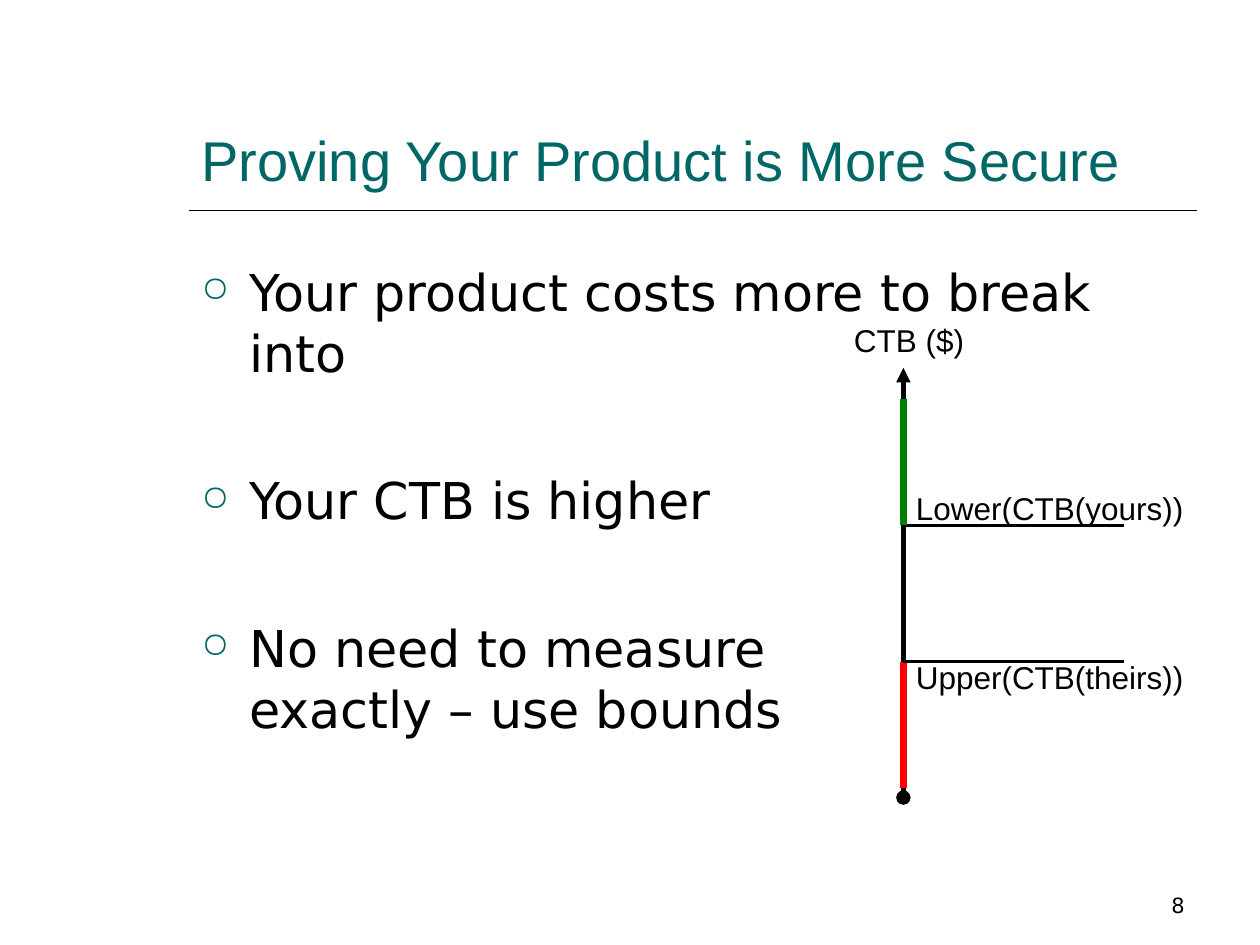
"""Build the slide comparing bounds on the cost to break two products."""
from dataclasses import dataclass

from lxml.etree import SubElement
from pptx import Presentation
from pptx.dml.color import RGBColor
from pptx.enum.shapes import MSO_CONNECTOR
from pptx.enum.text import MSO_ANCHOR, PP_ALIGN
from pptx.oxml.ns import qn
from pptx.util import Inches, Pt


@dataclass(frozen=True)
class Theme:
    heading_font: str = "Arial"
    body_font: str = "DejaVu Sans"
    teal: str = "006666"
    black: str = "000000"
    green: str = "008000"
    red: str = "FF0000"
    title_size: int = 32
    body_size: int = 29
    label_size: int = 18
    number_size: int = 12
    body_leading: float = 34.9
    bullet_gap: float = 49.3


THEME = Theme()
TITLE = "Proving Your Product is More Secure"
BULLETS = [
    "Your product costs more to break into",
    "Your CTB is higher",
    "No need to measure\vexactly – use bounds",
]
SLIDE_NUMBER = "8"

LEFT, WIDTH = 1.5, 8
RIGHT = LEFT + WIDTH
RULE_Y = 1.67
AXIS_X, AXIS_TOP, AXIS_BOTTOM = 7.17, 2.92, 6.33
LOWER_Y, UPPER_Y = 4.17, 5.25
BOUND_WIDTH, RANGE_HEIGHT = 1.75, 1

LINES = [
    ((LEFT, RULE_Y), (RIGHT, RULE_Y), THEME.black, 1, {}),
    ((AXIS_X, AXIS_TOP), (AXIS_X, AXIS_BOTTOM), THEME.black, 2.75,
     {"headEnd": "triangle", "tailEnd": "oval"}),
    ((AXIS_X, LOWER_Y), (AXIS_X + BOUND_WIDTH, LOWER_Y), THEME.black, 1.5, {}),
    ((AXIS_X, LOWER_Y), (AXIS_X, LOWER_Y - RANGE_HEIGHT), THEME.green, 4, {}),
    ((AXIS_X, UPPER_Y + RANGE_HEIGHT), (AXIS_X, UPPER_Y), THEME.red, 4, {}),
    ((AXIS_X, UPPER_Y), (AXIS_X + BOUND_WIDTH, UPPER_Y), THEME.black, 1.5, {}),
]
LABELS = [
    ("Upper(CTB(theirs))", (AXIS_X, 5.17, 2.35, 0.4), PP_ALIGN.LEFT),
    ("Lower(CTB(yours))", (AXIS_X, 3.83, 2.35, 0.4), PP_ALIGN.LEFT),
    ("CTB ($)", (6.58, 2.5, 1.27, 0.4), PP_ALIGN.CENTER),
]


def add_bullet(paragraph):
    """Give a paragraph a hanging teal circle."""
    properties = paragraph._p.get_or_add_pPr()
    properties.set("marL", str(Inches(0.38)))
    properties.set("indent", str(-Inches(0.38)))
    color = SubElement(properties, qn("a:buClr"))
    SubElement(color, qn("a:srgbClr"), val=THEME.teal)
    SubElement(properties, qn("a:buSzPct"), val="70000")
    SubElement(properties, qn("a:buChar"), char="○")


def add_text(slide, paragraphs, place, *, size, font=THEME.heading_font, color=THEME.black,
             align=PP_ALIGN.LEFT, anchor=MSO_ANCHOR.TOP, bullets=False, leading=None, gap=0):
    """Add a text box holding one paragraph per string."""
    frame = slide.shapes.add_textbox(*map(Inches, place)).text_frame
    frame.word_wrap = True
    frame.vertical_anchor = anchor
    for index, text in enumerate(paragraphs):
        paragraph = frame.add_paragraph() if index else frame.paragraphs[0]
        paragraph.text = text
        paragraph.alignment = align
        if leading:
            paragraph.line_spacing = Pt(leading)
        if index and gap:
            paragraph.space_before = Pt(gap)
        if bullets:
            add_bullet(paragraph)
        paragraph.font.size = Pt(size)
        paragraph.font.name = font
        paragraph.font.color.rgb = RGBColor.from_string(color)


def add_line(slide, start, end, color, width, ends):
    """Add a straight line with optional end marks."""
    connector = slide.shapes.add_connector(
        MSO_CONNECTOR.STRAIGHT, *map(Inches, (*start, *end)))
    connector.line.width = Pt(width)
    connector.line.color.rgb = RGBColor.from_string(color)
    outline = connector.line._get_or_add_ln()
    for tag, kind in ends.items():
        SubElement(outline, qn(f"a:{tag}"), type=kind)
    SubElement(connector._element.spPr, qn("a:effectLst"))


def main():
    """Lay out and save the slide."""
    presentation = Presentation()
    presentation.slide_width, presentation.slide_height = Inches(10), Inches(7.5)
    slide = presentation.slides.add_slide(presentation.slide_layouts[6])
    add_text(slide, [TITLE], (LEFT, 0.33, WIDTH, 1.25), size=THEME.title_size,
             color=THEME.teal, anchor=MSO_ANCHOR.BOTTOM)
    add_text(slide, BULLETS, (LEFT, 2.02, WIDTH, 4.5), size=THEME.body_size,
             font=THEME.body_font, bullets=True, leading=THEME.body_leading,
             gap=THEME.bullet_gap)
    for line in LINES:
        add_line(slide, *line)
    for text, place, align in LABELS:
        add_text(slide, [text], place, size=THEME.label_size, align=align)
    add_text(slide, [SLIDE_NUMBER], (AXIS_X, 6.83, 2.33, 0.5), size=THEME.number_size,
             font=THEME.body_font, align=PP_ALIGN.RIGHT, anchor=MSO_ANCHOR.BOTTOM)
    presentation.save("out.pptx")


if __name__ == "__main__":
    main()
